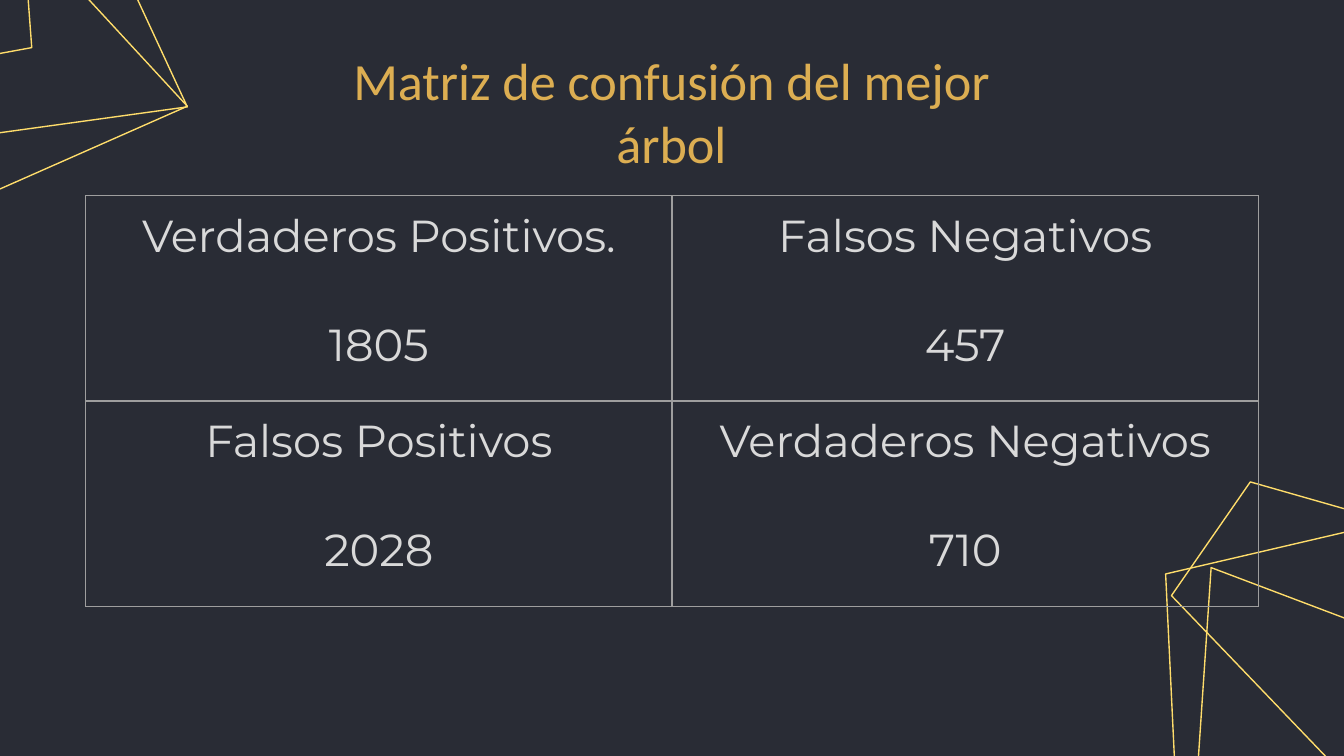
from lxml.etree import SubElement
from pptx import Presentation
from pptx.dml.color import RGBColor
from pptx.enum.text import MSO_ANCHOR, MSO_AUTO_SIZE, PP_ALIGN
from pptx.oxml.ns import qn
from pptx.util import Cm, Pt

DARK = RGBColor(0x29, 0x2C, 0x35)
GOLD = RGBColor(0xDC, 0xAE, 0x52)
BRIGHT_GOLD = RGBColor(0xFF, 0xDD, 0x6B)
LIGHT_GRAY = RGBColor(0xD9, 0xD9, 0xD9)
BORDER_GRAY = RGBColor(0x9E, 0x9E, 0x9E)

# Corner polygons, in cm from the corner's own origin
TOP_LEFT_POLYGONS = [
    [(-7.56, -3.91), (-7.3, -0.29), (-2.18, 1.41), (0.6, 0.9), (0.47, -0.85), (-2.54, -5.22)],
    [(-4.47, -3.72), (-5.93, -1.49), (-0.56, 3.82), (3.54, 2.01), (-0.91, -2.81)],
    [(-4.46, -3.72), (-4.94, 3.19), (3.54, 2.02), (2.02, -1.26)],
]
BOTTOM_RIGHT_POLYGONS = [
    [(0.89, 1.73), (0.43, 8.59), (8.86, 7.42), (7.34, 4.17)],
    [(0.03, 1.85), (0.2, 5.41), (5.18, 7.22), (7.93, 6.79), (7.86, 5.06), (5.01, 0.69)],
    [(1.63, 0.11), (0.14, 2.26), (5.28, 7.62), (9.38, 5.94), (5.1, 1.1)],
]
MATRIX = [
    [("Verdaderos Positivos.", "1805"), ("Falsos Negativos", "457")],
    [("Falsos Positivos", "2028"), ("Verdaderos Negativos", "710")],
]


def add_centered_run(paragraph, text, font_name, size, color):
    paragraph.alignment = PP_ALIGN.CENTER
    run = paragraph.add_run()
    run.text = text
    run.font.name = font_name
    run.font.size = Pt(size)
    run.font.color.rgb = color


def add_corner(slide, left, top, polygons):
    for polygon in polygons:
        points = [(left + Cm(x), top + Cm(y)) for x, y in polygon]
        builder = slide.shapes.build_freeform(*points[0])
        builder.add_line_segments(points[1:], close=True)
        shape = builder.convert_to_shape()
        shape.shadow.inherit = False
        shape.fill.background()
        shape.line.color.rgb = BRIGHT_GOLD
        shape.line.width = Pt(0.75)


def add_title(slide, left, top, width, height):
    title = slide.shapes.title
    title.left, title.top, title.width, title.height = left, top, width, height
    frame = title.text_frame
    frame.auto_size = MSO_AUTO_SIZE.NONE
    frame.word_wrap = True
    frame.vertical_anchor = MSO_ANCHOR.MIDDLE
    frame.margin_left = frame.margin_right = Cm(0.25)
    frame.margin_top = frame.margin_bottom = Cm(0.25)
    add_centered_run(frame.paragraphs[0], "Matriz de confusión del mejor árbol",
                     "Calibri", 28, GOLD)


def set_borders(cell):
    properties = cell._tc.get_or_add_tcPr()
    for position, side in enumerate(("a:lnL", "a:lnR", "a:lnT", "a:lnB")):
        line = properties.makeelement(qn(side), {"w": str(Pt(0.75))})
        fill = SubElement(line, qn("a:solidFill"))
        SubElement(fill, qn("a:srgbClr"), val=str(BORDER_GRAY))
        properties.insert(position, line)


def add_matrix(slide, left, top, width, height):
    frame = slide.shapes.add_table(len(MATRIX), len(MATRIX[0]), left, top, width, height)
    table = frame.table
    table.first_row = table.horz_banding = False
    for row_index, row in enumerate(MATRIX):
        for column_index, (label, count) in enumerate(row):
            cell = table.cell(row_index, column_index)
            cell.fill.background()
            cell.margin_top = cell.margin_bottom = Cm(0.25)
            set_borders(cell)
            add_centered_run(cell.text_frame.paragraphs[0], label,
                             "Montserrat", 24, LIGHT_GRAY)
            paragraph = cell.text_frame.add_paragraph()
            paragraph.space_before = Pt(29)
            add_centered_run(paragraph, count, "Montserrat", 24, LIGHT_GRAY)


def main():
    presentation = Presentation()
    presentation.slide_width = Cm(25.4)
    presentation.slide_height = Cm(14.29)
    slide = presentation.slides.add_slide(presentation.slide_layouts[5])
    slide.background.fill.solid()
    slide.background.fill.fore_color.rgb = DARK

    # Corner decoration
    add_corner(slide, Cm(0), Cm(0), TOP_LEFT_POLYGONS)
    add_corner(slide, Cm(22), Cm(9), BOTTOM_RIGHT_POLYGONS)

    # Title and confusion matrix
    add_title(slide, Cm(5.54), Cm(1.5), Cm(14.3), Cm(1.19))
    add_matrix(slide, Cm(1.62), Cm(3.7), Cm(22.16), Cm(7.76))
    presentation.save("out.pptx")


if __name__ == "__main__":
    main()
